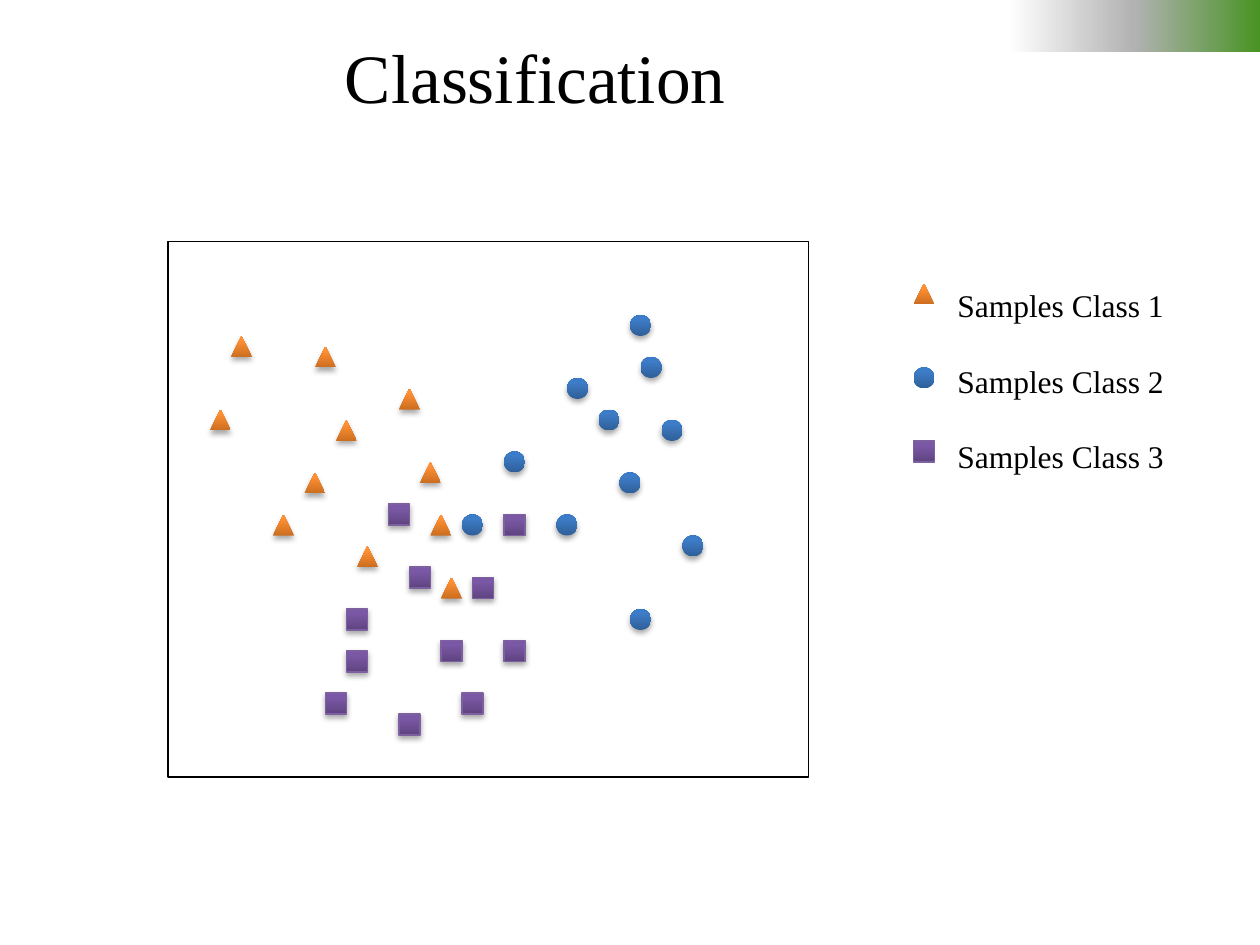
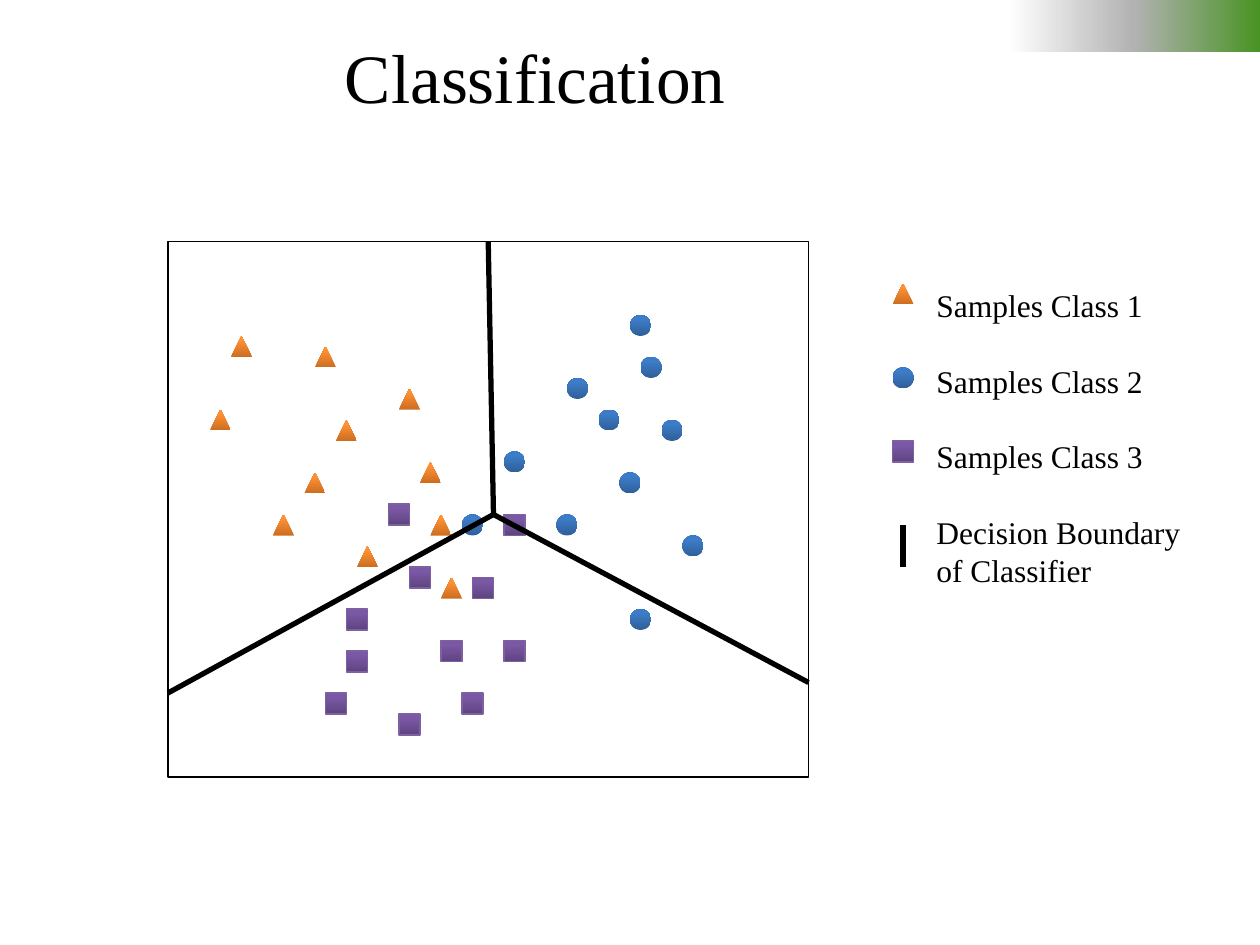
from lxml.etree import SubElement
from pptx import Presentation
from pptx.dml.color import RGBColor as Rgb
from pptx.enum.shapes import MSO_CONNECTOR as Conn, MSO_SHAPE as Kind
from pptx.enum.text import MSO_ANCHOR as Anchor, MSO_AUTO_SIZE as Auto, PP_ALIGN as Align
from pptx.oxml.ns import qn
from pptx.util import Cm, Pt

FONT = "Times New Roman"
HUES = {"ink": "000000", "paper": "FFFFFF", "gray": "B2B2B2", "green": "489324", "rim": "7D60A0",
        "rust": "CC6E20", "orange": "FF9034", "amber": "FF9136",
        "navy": "2F5F99", "blue": "3D7CC7", "sky": "3A7CCB",
        "plum": "5F4480", "violet": "7B58A6", "lilac": "7C57A8"}
BAND = [(80, "paper"), (90, "gray"), (100, "green")]
MARKS = {
    "Samples Class 1": (Kind.ISOSCELES_TRIANGLE, ("rust", "orange", "amber"), None),
    "Samples Class 2": (Kind.OVAL, ("navy", "blue", "sky"), None),
    "Samples Class 3": (Kind.RECTANGLE, ("plum", "violet", "lilac"), "rim"),
}
SPOTS = {
    "Samples Class 1": [(6, 9), (14, 10), (4, 16), (10, 26), (16, 17), (13, 22),
                        (22, 14), (18, 29), (24, 21), (25, 26), (26, 32)],
    "Samples Class 2": [(44, 7), (41, 16), (45, 11), (43, 22), (47, 17), (32, 20),
                        (37, 26), (49, 28), (44, 35), (38, 13), (28, 26)],
    "Samples Class 3": [(29, 32), (22, 45), (26, 38), (28, 43), (32, 38), (32, 26),
                        (15, 43), (17, 35), (23, 31), (17, 39), (21, 25)],
}
PLOT = (16, 23, 61, 51)
HUB = (31, 26)
ENDS = [(30.5, 0), (0, 43), (61, 42)]
DROPS = [0, 8, 15]
BOUND = "Decision Boundary\nof Classifier"


def grid(*steps):
    """Turn grid steps, twelve to 2.54 cm, into lengths."""
    return [Cm(step * 2.54 / 12) for step in steps]


def color(name):
    """Look up a named colour."""
    return Rgb.from_string(HUES[name])


def blend(shape, stops, angle):
    """Fill a shape with a linear gradient."""
    shape.fill.gradient()
    shape.fill.gradient_angle = angle
    rows = shape.element.spPr.find(f".//{qn('a:gsLst')}")
    rows[:] = []
    for place, name in stops:
        stop = SubElement(rows, qn("a:gs"), pos=str(place * 1000))
        SubElement(stop, qn("a:srgbClr"), val=HUES[name])


def outline(shape, name, width=0.75):
    """Draw the line of a shape, or hide it."""
    if name:
        shape.line.color.rgb = color(name)
        shape.line.width = Pt(width)
    else:
        shape.line.fill.background()


def shade(shape):
    """Cast a soft shadow straight down."""
    effects = shape.element.spPr.find(qn("a:effectLst"))
    cast = SubElement(effects, qn("a:outerShdw"), blurRad="40000", dist="23000",
                      dir="5400000", rotWithShape="0")
    tint = SubElement(cast, qn("a:srgbClr"), val=HUES["ink"])
    SubElement(tint, qn("a:alpha"), val="35000")


def add_mark(slide, label, x, y, cast=False):
    """Place the marker of one class."""
    kind, hues, rim = MARKS[label]
    mark = slide.shapes.add_shape(kind, *grid(x, y, 2, 2))
    mark.shadow.inherit = False
    blend(mark, zip((0, 80, 100), hues), 90)
    outline(mark, rim)
    if cast:
        shade(mark)


def add_rule(slide, start, end):
    """Draw one thick boundary line."""
    rule = slide.shapes.add_connector(Conn.STRAIGHT, *grid(*start, *end))
    outline(rule, "ink", 3)
    SubElement(rule.element.spPr, qn("a:effectLst"))


def add_run(para, text, size):
    """Add one run in the deck's font."""
    run = para.add_run()
    run.text = text
    run.font.name, run.font.size = FONT, Pt(size)
    run.font.color.rgb = color("ink")


def add_title(slide, text):
    """Fill and place the title."""
    title = slide.shapes.title
    title.left, title.top, title.width, title.height = grid(16, 3, 70, 8.4)
    frame = title.text_frame
    frame.auto_size, frame.vertical_anchor = Auto.NONE, Anchor.MIDDLE
    para = frame.paragraphs[0]
    para.alignment = Align.CENTER
    add_run(para, text, 39.6)


def add_plot(slide, box, cast):
    """Draw the framed scatter of samples."""
    left, top = box[:2]
    frame = slide.shapes.add_shape(Kind.ROUNDED_RECTANGLE, *grid(*box))
    frame.adjustments[0] = 0
    frame.shadow.inherit = False
    frame.fill.background()
    outline(frame, "ink")
    for label, spots in SPOTS.items():
        for x, y in spots:
            add_mark(slide, label, left + x, top + y, cast)


def add_split(slide, box):
    """Draw the boundaries that meet inside the plot."""
    left, top = box[:2]
    hub = left + HUB[0], top + HUB[1]
    for x, y in ENDS:
        add_rule(slide, hub, (left + x, top + y))


def add_key(slide, box, labels):
    """List the labels beside their markers."""
    left, top, wide, high = box
    area = slide.shapes.add_textbox(*grid(left + 3, top - 0.32, wide, high))
    frame = area.text_frame
    frame.word_wrap = True
    for index, label in enumerate(labels):
        para = frame.add_paragraph() if index else frame.paragraphs[0]
        para.line_spacing = Pt(21.6)
        para.space_after = Pt(21.6 if index < len(labels) - 1 else 0)
        for row, text in enumerate(label.split("\n")):
            if row:
                para.add_line_break()
            add_run(para, text, 18)
    for label, drop in zip(MARKS, DROPS):
        add_mark(slide, label, left, top + drop)


def add_slide(deck, split):
    """Build a classification slide, with or without boundaries."""
    slide = deck.slides.add_slide(deck.slide_layouts[5])
    add_title(slide, "Classification")
    add_plot(slide, PLOT, cast=not split)
    if split:
        add_key(slide, (85, 27, 27, 30), [*MARKS, BOUND])
        add_split(slide, PLOT)
        add_rule(slide, (86, 50), (86, 54))
    else:
        add_key(slide, (87, 27, 24, 19.5), MARKS)
    return slide


def set_master(deck, slide):
    """Give the master its background and top band."""
    master = deck.slide_master
    master.background.fill.solid()
    master.background.fill.fore_color.rgb = color("paper")
    band = slide.shapes.add_shape(Kind.RECTANGLE, *grid(0, 0, 120, 5))
    band.shadow.inherit = False
    blend(band, BAND, 0)
    outline(band, None)
    master.shapes.element.insert(2, band.element)


def main():
    """Build and save the deck."""
    deck = Presentation()
    deck.slide_width, deck.slide_height = Cm(25.4), Cm(19.05)
    slides = [add_slide(deck, split) for split in (False, True)]
    set_master(deck, slides[0])
    deck.save("out.pptx")


if __name__ == "__main__":
    main()
